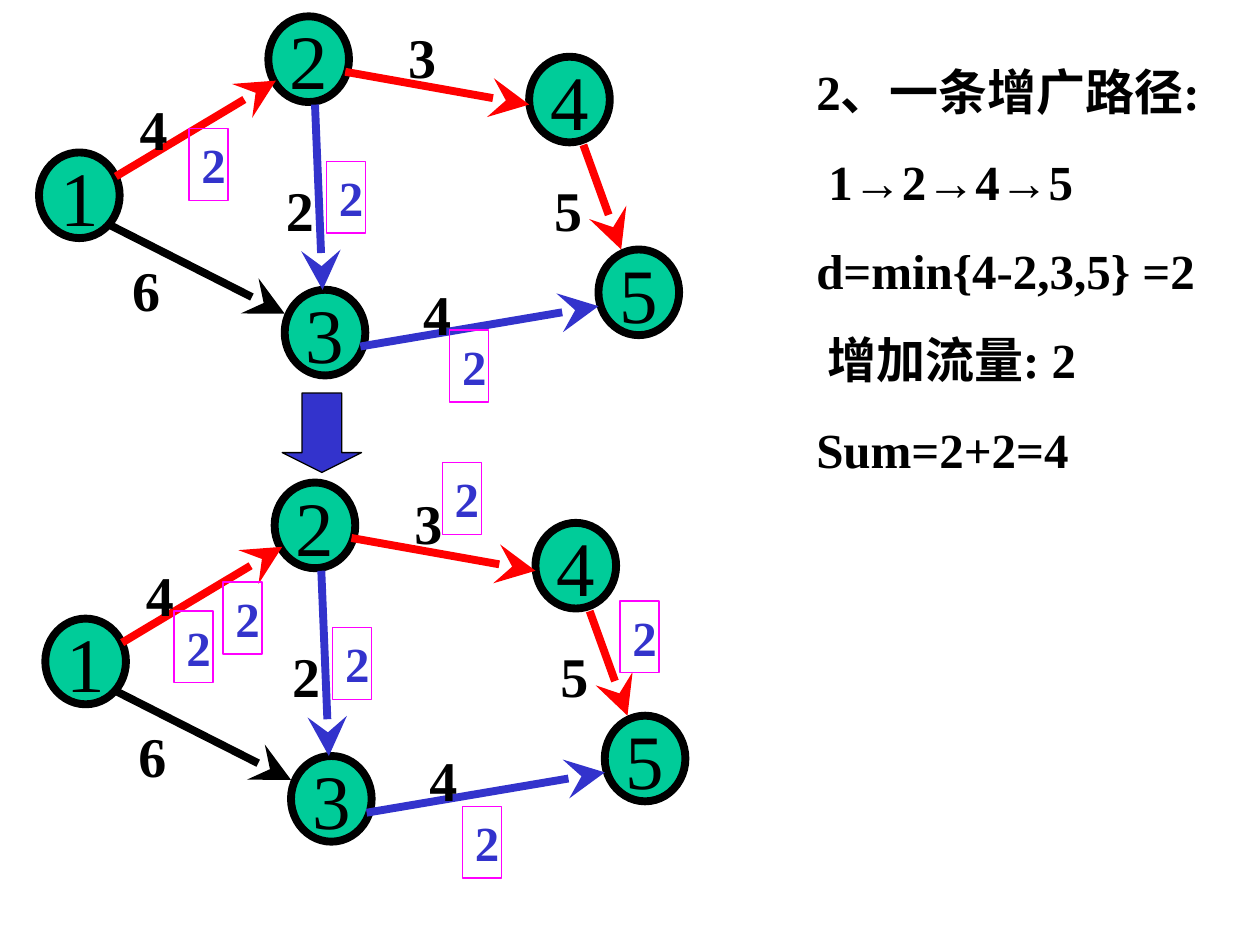
import itertools

import pptx
import pptx.dml.color
import pptx.enum.shapes
import pptx.enum.text
import pptx.oxml.ns
import pptx.util
from lxml import etree

Inches = pptx.util.Inches
Pt = pptx.util.Pt
SHAPES = pptx.enum.shapes.MSO_SHAPE

BLACK, RED, BLUE, GREEN, MAGENTA = "000000", "FF0000", "3333CC", "00CC99", "FF00FF"
SERIF, ARROW_FONT = "Times New Roman", "Arial"

NOTES = ["2、一条增广路径:", " 1→2→4→5", "d=min{4-2,3,5} =2", " 增加流量: 2", "Sum=2+2=4"]
NODE_SIZE = (0.64, 0.68)
NODES = [("1", 0.31, 1.21), ("2", 2.13, 0.13), ("4", 4.2, 0.45), ("3", 2.26, 2.3), ("5", 4.75, 1.98)]
EDGES = [
    ((0.92, 1.4), (2.19, 0.64), RED),
    ((0.86, 1.78), (2.26, 2.49), BLACK),
    ((2.74, 0.57), (4.2, 0.83), RED),
    ((4.63, 1.15), (4.93, 1.98), RED),
    ((2.5, 0.83), (2.56, 2.3), BLUE),
    ((2.86, 2.75), (4.75, 2.43), BLUE),
]
CAPACITY_SIZE = (0.37, 0.64)
CAPACITIES = [("6", 0.95, 1.98), ("4", 1.01, 0.7), ("2", 2.17, 1.34),
              ("3", 3.14, 0.13), ("4", 3.26, 2.17), ("5", 4.3, 1.34)]
FLOW_SIZE = (0.31, 0.57)
FLOWS_BEFORE = [(1.5, 1.02), (2.59, 1.28), (3.57, 2.62)]
FLOWS_AFTER = [(1.38, 4.85), (2.64, 4.98), (3.67, 6.4), (1.77, 4.62), (3.51, 3.67), (4.92, 4.77)]
GRAPHS = [((0, 0), FLOWS_BEFORE), ((0.05, 3.7), FLOWS_AFTER)]


def rgb(value):
    return pptx.dml.color.RGBColor.from_string(value)


def write(shape, lines, size, color, bold=True, before=0):
    frame = shape.text_frame
    frame.word_wrap = True
    frame.auto_size = pptx.enum.text.MSO_AUTO_SIZE.SHAPE_TO_FIT_TEXT
    frame.vertical_anchor = pptx.enum.text.MSO_ANCHOR.TOP
    for index, line in enumerate(lines):
        paragraph = frame.add_paragraph() if index else frame.paragraphs[0]
        paragraph.alignment = pptx.enum.text.PP_ALIGN.LEFT
        paragraph.space_before = Pt(before)
        for is_arrow, characters in itertools.groupby(line, lambda character: character == "→"):
            run = paragraph.add_run()
            run.text = "".join(characters)
            run.font.name = ARROW_FONT if is_arrow else SERIF
            run.font.size = Pt(size)
            run.font.bold = bold
            run.font.color.rgb = rgb(color)


def add_text(slide, lines, box, size, before):
    shape = slide.shapes.add_textbox(*map(Inches, box))
    write(shape, lines, size, BLACK, before=before)


def add_shape(slide, kind, box, fill, line, width):
    shape = slide.shapes.add_shape(kind, *map(Inches, box))
    shape.shadow.inherit = False
    if fill:
        shape.fill.solid()
        shape.fill.fore_color.rgb = rgb(fill)
    else:
        shape.fill.background()
    shape.line.color.rgb = rgb(line)
    shape.line.width = Pt(width)
    return shape


def add_node(slide, label, left, top):
    shape = add_shape(slide, SHAPES.OVAL, (left, top, *NODE_SIZE), GREEN, BLACK, 4.5)
    write(shape, [label], 44, BLACK, bold=False)
    frame = shape.text_frame
    frame.word_wrap = False
    frame.auto_size = pptx.enum.text.MSO_AUTO_SIZE.NONE
    frame.vertical_anchor = pptx.enum.text.MSO_ANCHOR.MIDDLE
    frame.paragraphs[0].alignment = pptx.enum.text.PP_ALIGN.CENTER


def add_edge(slide, start, end, color):
    edge = slide.shapes.add_connector(
        pptx.enum.shapes.MSO_CONNECTOR.STRAIGHT, *map(Inches, (*start, *end)))
    edge.line.color.rgb = rgb(color)
    edge.line.width = Pt(4.5)
    line = edge.line._get_or_add_ln()
    etree.SubElement(line, pptx.oxml.ns.qn("a:tailEnd"), type="stealth", w="lg", len="lg")
    etree.SubElement(edge._element.spPr, pptx.oxml.ns.qn("a:effectLst"))


def add_graph(slide, offset, flows):
    def moved(point):
        return point[0] + offset[0], point[1] + offset[1]

    for label, *corner in NODES:
        add_node(slide, label, *moved(corner))
    for start, end, color in EDGES:
        add_edge(slide, moved(start), moved(end), color)
    for label, *corner in CAPACITIES:
        add_text(slide, [label], (*moved(corner), *CAPACITY_SIZE), 32, 20)
    for corner in flows:
        shape = add_shape(slide, SHAPES.RECTANGLE, (*corner, *FLOW_SIZE), None, MAGENTA, 0.75)
        write(shape, ["2"], 28, BLUE, before=17.5)


def main():
    presentation = pptx.Presentation()
    presentation.slide_width = Inches(10)
    presentation.slide_height = Inches(7.5)
    slide = presentation.slides.add_slide(presentation.slide_layouts[6])
    add_text(slide, NOTES, (6.38, 0.44, 3.62, 3.41), 28, 17.5)
    for offset, flows in GRAPHS:
        add_graph(slide, offset, flows)
    arrow = add_shape(slide, SHAPES.DOWN_ARROW, (2.24, 3.12, 0.63, 0.63), BLUE, BLACK, 0.75)
    arrow.adjustments[0] = 0.5
    arrow.adjustments[1] = 0.25
    presentation.save("out.pptx")


if __name__ == "__main__":
    main()
